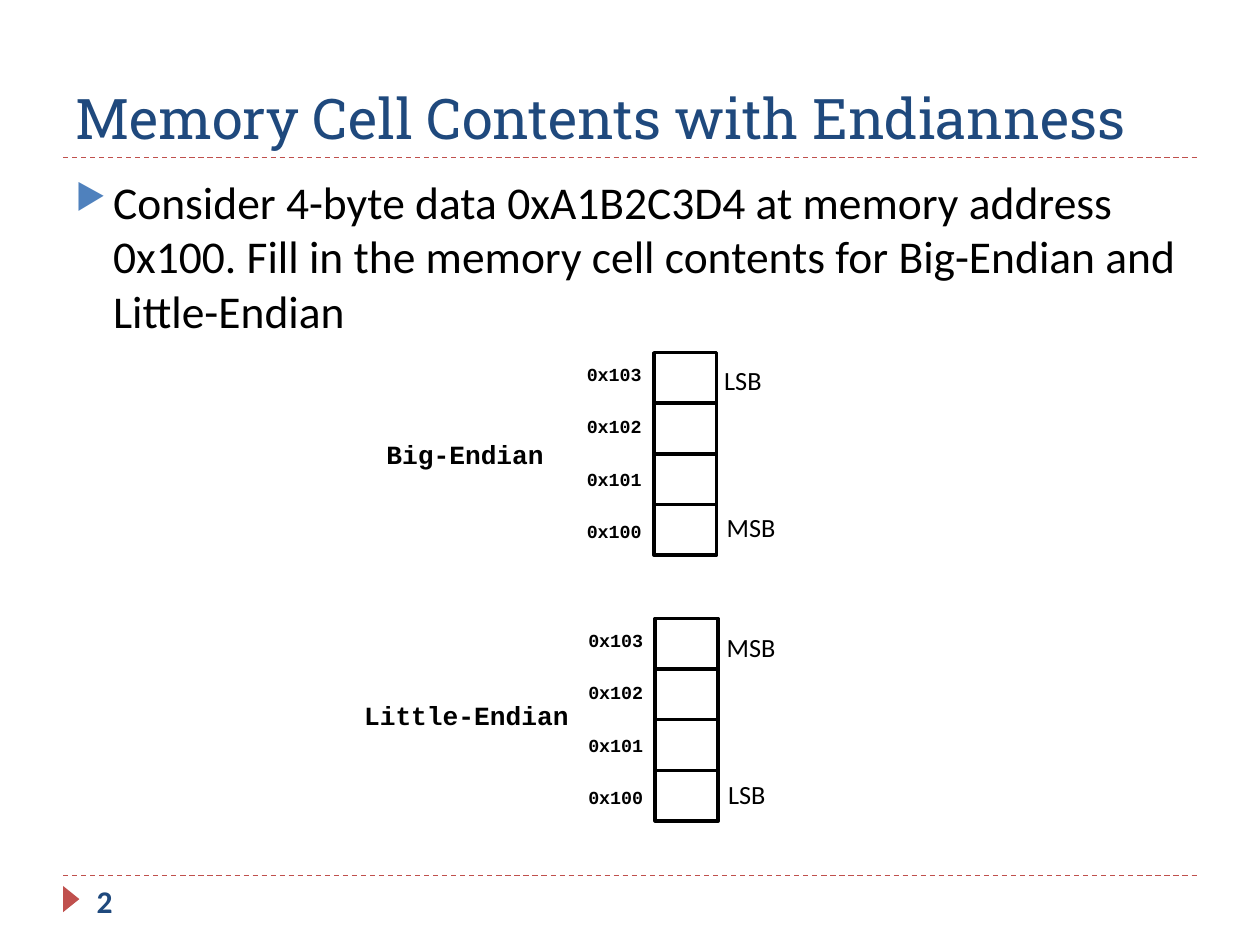
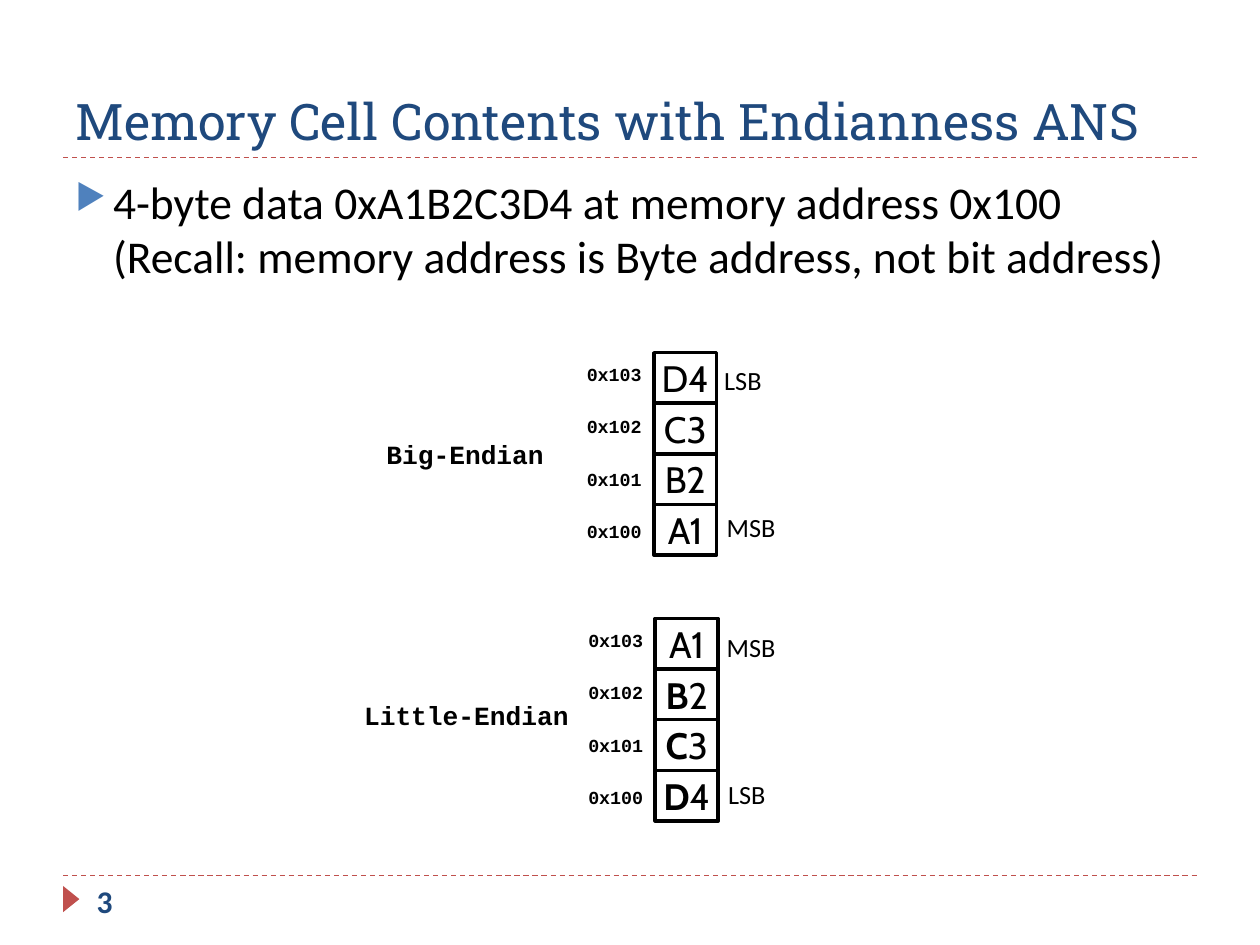
from dataclasses import dataclass

from lxml.etree import SubElement
from pptx import Presentation
from pptx.dml.color import RGBColor
from pptx.enum.dml import MSO_LINE
from pptx.enum.shapes import MSO_CONNECTOR, MSO_SHAPE
from pptx.enum.text import MSO_ANCHOR as Anchor, MSO_AUTO_SIZE as AutoSize, PP_ALIGN as Align
from pptx.oxml.ns import qn
from pptx.util import Cm, Pt

# Content: cell values run from address 0x103 down to 0x100
ADDRESSES = ["0x103", "0x102", "0x101", "0x100"]
BIG_BYTES = ["D4", "C3", "B2", "A1"]
LITTLE_BYTES = ["A1", "B2", "C3", "D4"]

SLIDES = [
    {
        "number": 2,
        "title": "Memory Cell Contents with Endianness",
        "title_size": 32,
        "body": "Consider 4-byte data 0xA1B2C3D4 at memory address 0x100. "
                "Fill in the memory cell contents for Big-Endian and Little-Endian",
        "bytes": [[""] * 4, [""] * 4],
    },
    {
        "number": 3,
        "title": "Memory Cell Contents with Endianness ANS",
        "title_size": 28.8,
        "body": "4-byte data 0xA1B2C3D4 at memory address 0x100 "
                "(Recall: memory address is Byte address, not bit address)",
        "bytes": [BIG_BYTES, LITTLE_BYTES],
    },
]

# Memory columns in cm; each end label is text, left, top, width,
# and bold_letters lists the bytes whose letter is bold
MEMORIES = [
    {"name": "Big-Endian", "name_box": (7.54, 8.71, 3.71, 0.89),
     "left": 13.18, "top": 7.11, "bold_letters": [],
     "ends": [("LSB", 14.35, 7.21, 1.5), ("MSB", 14.4, 10.19, 1.63)]},
    {"name": "Little-Endian", "name_box": (7.09, 13.97, 4.67, 0.89),
     "left": 13.21, "top": 12.47, "bold_letters": ["B2", "C3", "D4"],
     "ends": [("MSB", 14.4, 12.6, 1.63), ("LSB", 14.43, 15.57, 1.27)]},
]
CELL_WIDTH, CELL_HEIGHT = 1.27, 1.02
ADDRESS_STEP = 1.06


@dataclass(frozen=True)
class Theme:
    navy: str = "1F497D"
    red: str = "C0504D"
    blue: str = "4F81BD"
    black: str = "000000"
    white: str = "FFFFFF"
    title_font: str = "Roboto Slab"
    body_font: str = "Calibri"
    code_font: str = "Courier New"
    cell_font: str = "Cabin"
    body_size: float = 26
    number_size: float = 18
    label_size: float = 15
    address_size: float = 10.5
    cell_size: float = 21


THEME = Theme()


def color(value):
    return RGBColor.from_string(value)


def style_runs(paragraph, font, size, ink, bold=False):
    for run in paragraph.runs:
        run.font.name = font
        run.font.size = Pt(size)
        run.font.color.rgb = color(ink)
        run.font.bold = bold


def add_text(slide, box, text, font, size, ink=THEME.black, bold=False,
             wrap=True, grow=False, anchor=Anchor.TOP):
    shape = slide.shapes.add_textbox(*map(Cm, box))
    frame = shape.text_frame
    frame.word_wrap = wrap
    frame.auto_size = AutoSize.SHAPE_TO_FIT_TEXT if grow else AutoSize.NONE
    frame.vertical_anchor = anchor
    frame.text = text
    style_runs(frame.paragraphs[0], font, size, ink, bold)
    return frame.paragraphs[0]


def add_bullet(paragraph):
    properties = paragraph._p.get_or_add_pPr()
    properties.set("marL", str(Cm(0.76)))
    properties.set("indent", str(-Cm(0.76)))
    bullet_color = SubElement(properties, qn("a:buClr"))
    SubElement(bullet_color, qn("a:srgbClr"), val=THEME.blue)
    SubElement(properties, qn("a:buSzPct"), val="76000")
    SubElement(properties, qn("a:buChar"), char="▶")


def add_rule(slide, top):
    rule = slide.shapes.add_connector(
        MSO_CONNECTOR.STRAIGHT, Cm(1.27), Cm(top), Cm(24.13), Cm(top))
    rule.line.color.rgb = color(THEME.red)
    rule.line.width = Pt(0.75)
    rule.line.dash_style = MSO_LINE.DASH
    SubElement(rule._element.spPr, qn("a:effectLst"))


def add_frame(slide, content):
    # Rules, page marker, number and title
    for top in (17.65, 3.18):
        add_rule(slide, top)
    marker = slide.shapes.add_shape(
        MSO_SHAPE.ISOSCELES_TRIANGLE, Cm(1.17), Cm(17.96), Cm(0.53), Cm(0.33))
    marker.rotation = 90
    marker.shadow.inherit = False
    marker.fill.solid()
    marker.fill.fore_color.rgb = color(THEME.red)
    marker.line.fill.background()
    add_text(slide, (1.27, 0.43, 22.86, 2.74), content["title"], THEME.title_font,
             content["title_size"], THEME.navy, anchor=Anchor.BOTTOM)
    add_text(slide, (1.7, 17.65, 5.51, 1.02), str(content["number"]),
             THEME.body_font, THEME.number_size, THEME.navy, bold=True)


def add_cell(group, left, top, value, bold_letter):
    cell = group.shapes.add_shape(
        MSO_SHAPE.RECTANGLE, Cm(left), Cm(top), Cm(CELL_WIDTH), Cm(CELL_HEIGHT))
    cell.shadow.inherit = False
    cell.fill.solid()
    cell.fill.fore_color.rgb = color(THEME.white)
    cell.line.color.rgb = color(THEME.black)
    cell.line.width = Pt(2)
    if not value:
        return
    frame = cell.text_frame
    frame.margin_left = frame.margin_right = frame.margin_top = frame.margin_bottom = 0
    frame.vertical_anchor = Anchor.MIDDLE
    paragraph = frame.paragraphs[0]
    paragraph.alignment = Align.CENTER
    for part in (value if bold_letter else [value]):
        paragraph.add_run().text = part
    style_runs(paragraph, THEME.cell_font, THEME.cell_size, THEME.black)
    paragraph.runs[0].font.bold = bold_letter


def add_memory(slide, memory, values):
    left, top = memory["left"], memory["top"]
    for text, label_left, label_top, width in memory["ends"]:
        add_text(slide, (label_left, label_top, width, 0.89), text,
                 THEME.body_font, THEME.label_size, grow=True)
    group = slide.shapes.add_group_shape()
    for row, (address, value) in enumerate(zip(ADDRESSES, values)):
        add_cell(group, left, top + row * CELL_HEIGHT, value,
                 value in memory["bold_letters"])
        add_text(slide, (left - 1.6, top + 0.08 + row * ADDRESS_STEP, 1.63, 0.71),
                 address, THEME.code_font, THEME.address_size,
                 bold=True, wrap=False, grow=True)
    add_text(slide, memory["name_box"], memory["name"], THEME.code_font,
             THEME.label_size, bold=True, wrap=False, grow=True)


def main():
    presentation = Presentation()
    presentation.slide_width, presentation.slide_height = Cm(25.4), Cm(19.05)
    for content in SLIDES:
        slide = presentation.slides.add_slide(presentation.slide_layouts[6])
        add_frame(slide, content)
        body = add_text(slide, (1.27, 3.38, 22.86, 13.72), content["body"],
                        THEME.body_font, THEME.body_size)
        add_bullet(body)
        for memory, values in zip(MEMORIES, content["bytes"]):
            add_memory(slide, memory, values)
    presentation.save("out.pptx")


if __name__ == "__main__":
    main()
